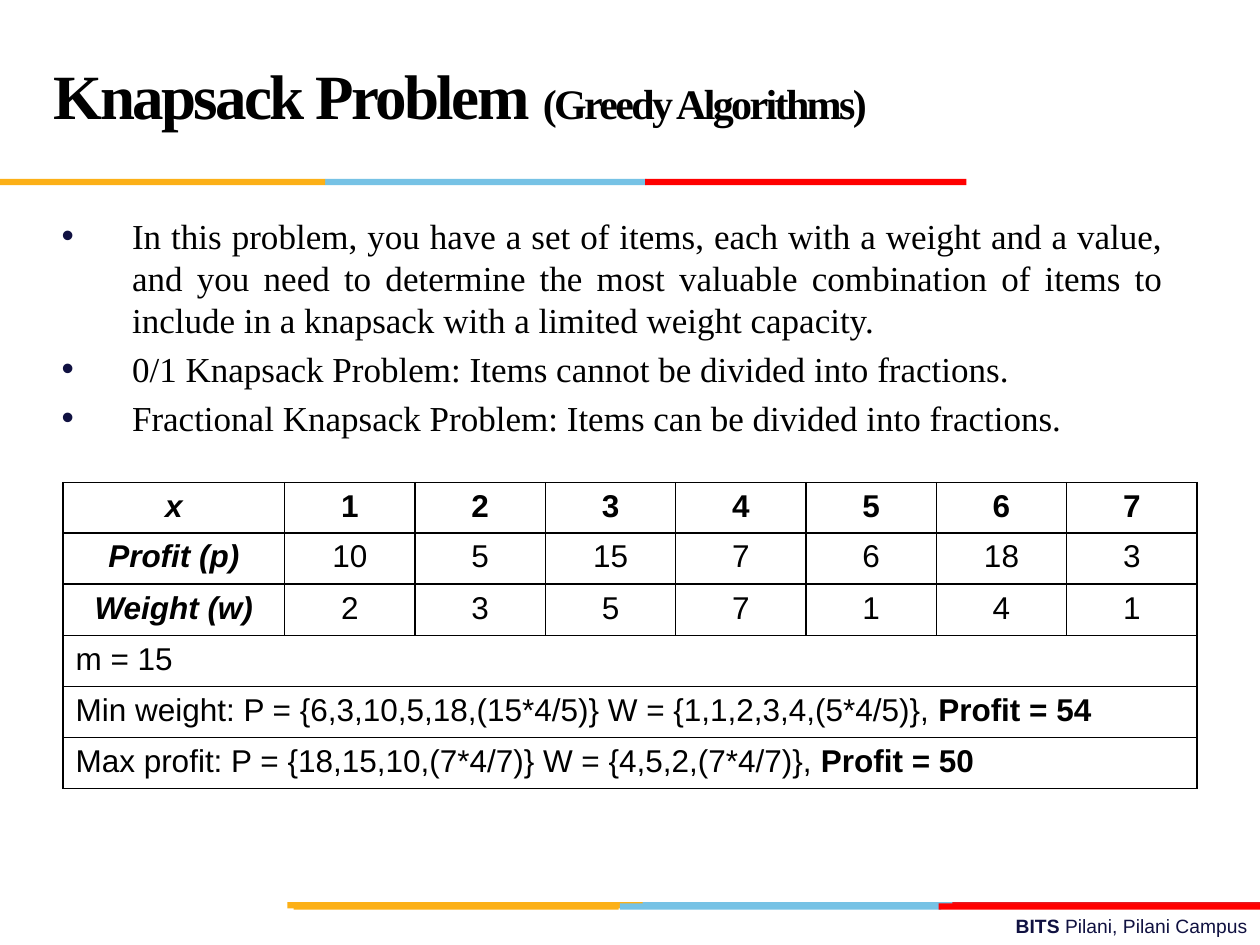
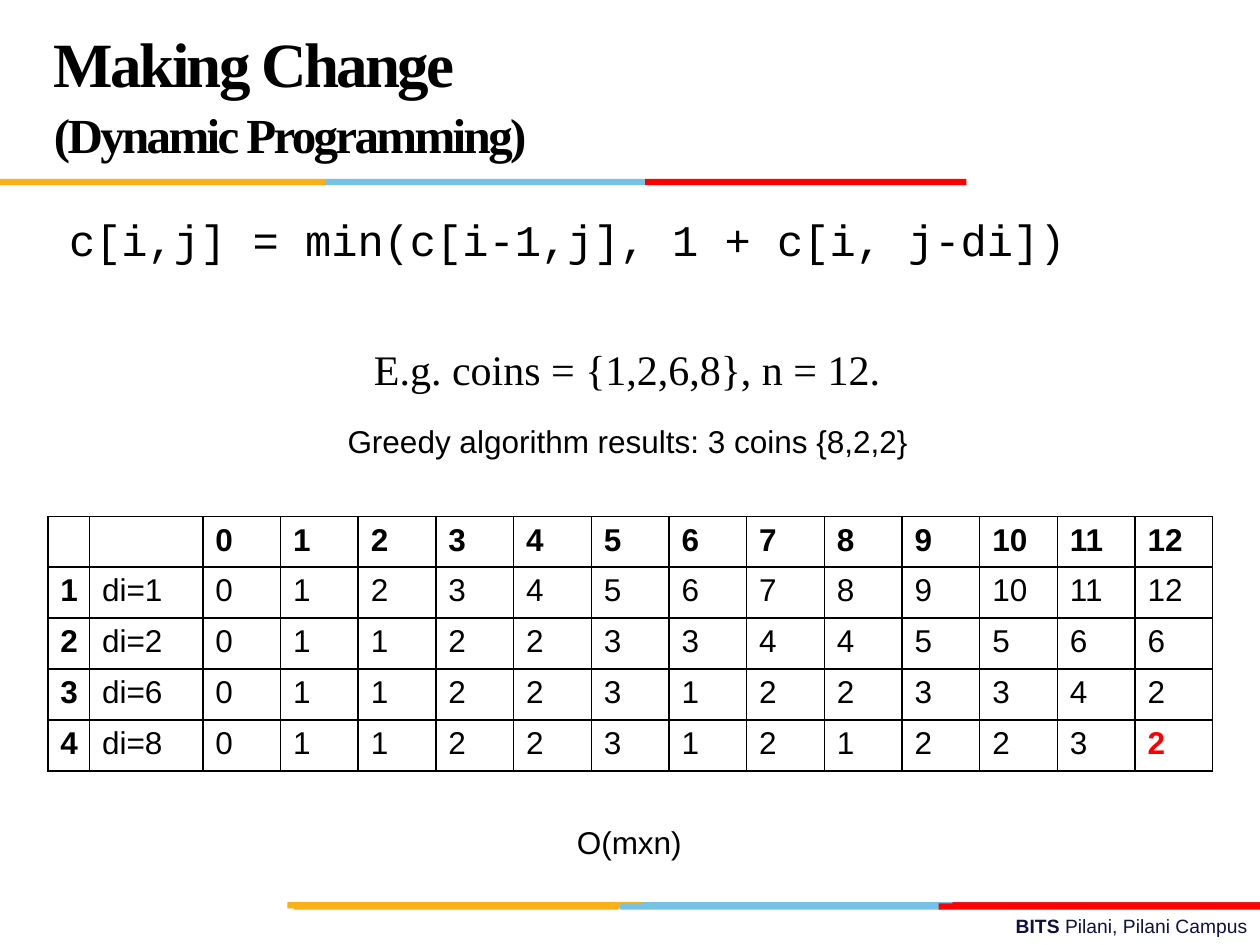
"""Build two algorithm slides: the knapsack problem and making change."""
from dataclasses import dataclass, replace
from typing import NamedTuple

from lxml import etree
from pptx import Presentation
from pptx import util as u
from pptx.dml.color import RGBColor
from pptx.enum import shapes, text
from pptx.oxml import ns

BLACK = RGBColor(0x00, 0x00, 0x00)
NAVY = RGBColor(0x10, 0x11, 0x41)
ORANGE = RGBColor(0xFC, 0xB0, 0x17)
SKY = RGBColor(0x76, 0xC2, 0xE5)
CRIMSON = RGBColor(0xE3, 0x1C, 0x24)
RED = RGBColor(0xFF, 0x00, 0x00)

SERIF, SANS, MONO = "Times New Roman", "Arial", "Courier New"
WIDTH, HEIGHT = u.Inches(10), u.Inches(7.5)
COLS, ROWS = 100, 75
BAND_ROWS = 0.5
LEFT, CENTER, RIGHT = text.PP_ALIGN.LEFT, text.PP_ALIGN.CENTER, text.PP_ALIGN.RIGHT


class Box(NamedTuple):
    """A place on the slide grid."""
    col: float
    row: float
    cols: float
    rows: float


class Band(NamedTuple):
    """A coloured strip starting at a grid column."""
    col: float
    row: float
    cols: float
    color: RGBColor


@dataclass(frozen=True)
class Style:
    """The look of a run of text."""
    size: float = 18
    font: str = SANS
    color: RGBColor = BLACK
    bold: bool = False
    italic: bool = False
    spacing: int = 0


class Run(NamedTuple):
    """Words with one style."""
    words: str
    style: Style


class Table(NamedTuple):
    """Cell runs with the sizes of a table."""
    box: Box
    first_cols: list[float]
    first_row: float
    cells: list[list[list[Run]]]
    centered_rows: int


BANDS = [
    Band(50.6, 71.6, 25.5, SKY), Band(75.6, 71.6, 24.4, CRIMSON), Band(22.8, 71.6, 28.2, ORANGE),
    Band(49.2, 71.7, 25.5, SKY), Band(23.3, 71.7, 25.8, ORANGE), Band(74.5, 71.7, 25.5, RED),
    Band(25.8, 14.2, 25.5, SKY), Band(0, 14.2, 25.8, ORANGE), Band(51.2, 14.2, 25.5, RED),
]
PLAIN = Style()
BOLD = Style(bold=True)
LABEL = Style(bold=True, italic=True)
TITLE = Style(36, SERIF, bold=True, spacing=-150)
FOOTER = Style(11, color=NAVY)


def x(cols: float) -> int:
    """Turn grid columns into a length."""
    return round(WIDTH * cols / COLS)


def y(rows: float) -> int:
    """Turn grid rows into a length."""
    return round(HEIGHT * rows / ROWS)


def place(box: Box) -> tuple[int, int, int, int]:
    """Give left, top, width and height of a box."""
    return x(box.col), y(box.row), x(box.cols), y(box.rows)


def write(p, runs: list[Run], align=LEFT) -> None:
    """Fill a paragraph with styled runs."""
    p.alignment = align
    for words, style in runs:
        r = p.add_run()
        r.text = words
        r.font.size, r.font.name = u.Pt(style.size), style.font
        r.font.bold, r.font.italic = style.bold, style.italic
        r.font.color.rgb = style.color
        if style.spacing:
            r._r.get_or_add_rPr().set("spc", str(style.spacing))


def add_text(s, box: Box, paragraphs: list[list[Run]], align=LEFT, wrap: bool = True):
    """Add a text box and return its text frame."""
    tf = s.shapes.add_textbox(*place(box)).text_frame
    tf.word_wrap = wrap
    if not wrap:
        tf.auto_size = text.MSO_AUTO_SIZE.SHAPE_TO_FIT_TEXT
    for i, runs in enumerate(paragraphs):
        write(tf.paragraphs[0] if i == 0 else tf.add_paragraph(), runs, align)
    return tf


def add_line(s, box: Box, words: str, style: Style = PLAIN) -> None:
    """Add one unwrapped line of text."""
    add_text(s, box, [[Run(words, style)]], wrap=False)


def add_bullets(s, box: Box, items: list[str], style: Style) -> None:
    """Add a justified bulleted list."""
    tf = add_text(s, box, [[Run(item, style)] for item in items], text.PP_ALIGN.JUSTIFY)
    for i, p in enumerate(tf.paragraphs):
        p.line_spacing = u.Pt(24)
        if i:
            p.space_before = u.Pt(4)
        pPr = p._p.get_or_add_pPr()
        pPr.set("marL", str(x(6.2)))
        pPr.set("indent", str(x(-5.6)))
        color = etree.SubElement(pPr, ns.qn("a:buClr"))
        etree.SubElement(color, ns.qn("a:srgbClr"), val=str(NAVY))
        etree.SubElement(pPr, ns.qn("a:buFont"), typeface=SANS)
        etree.SubElement(pPr, ns.qn("a:buChar"), char="•")


def add_borders(cell) -> None:
    """Draw a thin black line on each side of a cell."""
    tcPr = cell._tc.get_or_add_tcPr()
    for side in "LRTB":
        line = etree.SubElement(tcPr, ns.qn(f"a:ln{side}"), w=str(int(u.Pt(1))))
        fill = etree.SubElement(line, ns.qn("a:solidFill"))
        etree.SubElement(fill, ns.qn("a:srgbClr"), val=str(BLACK))


def add_table(s, t: Table) -> None:
    """Add a bordered table; rows with a single cell span its width."""
    n_rows, n_cols = len(t.cells), len(t.cells[0])
    tbl = s.shapes.add_table(n_rows, n_cols, *place(t.box)).table
    tbl.first_row = tbl.horz_banding = False
    rest = (t.box.cols - sum(t.first_cols)) / (n_cols - len(t.first_cols))
    for i, column in enumerate(tbl.columns):
        column.width = x(t.first_cols[i] if i < len(t.first_cols) else rest)
    for i, row in enumerate(tbl.rows):
        row.height = y((t.box.rows - t.first_row) / (n_rows - 1) if i else t.first_row)
    for cell in tbl.iter_cells():
        add_borders(cell)
        cell.fill.background()
    for i, row in enumerate(t.cells):
        if len(row) == 1:
            tbl.cell(i, 0).merge(tbl.cell(i, n_cols - 1))
        for j, runs in enumerate(row):
            align = CENTER if i < t.centered_rows else LEFT
            write(tbl.cell(i, j).text_frame.paragraphs[0], runs, align)


def add_slide(prs, title: list[list[Run]]):
    """Add a slide with bands, footer and title."""
    s = prs.slides.add_slide(prs.slide_layouts[6])
    add_text(s, Box(35.8, 72.1, 64.2, 2.9),
             [[Run("BITS ", replace(FOOTER, bold=True)), Run("Pilani, Pilani Campus", FOOTER)]], RIGHT)
    for band in BANDS:
        strip = s.shapes.add_shape(shapes.MSO_SHAPE.RECTANGLE,
                                   *place(Box(band.col, band.row, band.cols, BAND_ROWS)))
        strip.shadow.inherit = False
        strip.fill.solid()
        strip.fill.fore_color.rgb = band.color
        strip.line.fill.background()
    tf = add_text(s, Box(3.3, 1.7, 69.2, 12.5), title)
    tf.vertical_anchor = text.MSO_ANCHOR.MIDDLE
    for p in tf.paragraphs:
        p.line_spacing = u.Pt(36)
    return s


def styled(values: str, style: Style) -> list[list[Run]]:
    """Turn spaced values into table cells."""
    return [[Run(value, style)] for value in values.split()]


def add_knapsack(prs) -> None:
    """Build the knapsack slide."""
    s = add_slide(prs, [[Run("Knapsack Problem ", TITLE),
                         Run("(Greedy Algorithms)", replace(TITLE, size=24))]])
    add_bullets(s, Box(3.3, 16.5, 90, 49.5), [
        "In this problem, you have a set of items, each with a weight and a value, and you need to "
        "determine the most valuable combination of items to include in a knapsack with a limited "
        "weight capacity.",
        "0/1 Knapsack Problem: Items cannot be divided into fractions.",
        "Fractional Knapsack Problem: Items can be divided into fractions.",
    ], Style(20, SERIF))
    cells = [
        [[Run("x", LABEL)], *styled("1 2 3 4 5 6 7", BOLD)],
        [[Run("Profit (p)", LABEL)], *styled("10 5 15 7 6 18 3", PLAIN)],
        [[Run("Weight (w)", LABEL)], *styled("2 3 5 7 1 4 1", PLAIN)],
        [[Run("m = 15", PLAIN)]],
        [[Run("Min weight: P = {6,3,10,5,18,(15*4/5)} W = {1,1,2,3,4,(5*4/5)}, ", PLAIN),
          Run("Profit = 54", BOLD)]],
        [[Run("Max profit: P = {18,15,10,(7*4/7)} W = {4,5,2,(7*4/7)}, ", PLAIN),
          Run("Profit = 50", BOLD)]],
    ]
    add_table(s, Table(Box(5, 38.3, 90, 24.1), [17.6], 3.8, cells, 3))


def add_change(prs) -> None:
    """Build the making change slide."""
    s = add_slide(prs, [[Run("Making Change", TITLE)],
                        [Run("(Dynamic Programming)", replace(TITLE, size=28))]])
    add_line(s, Box(4.5, 16.4, 82, 5.2), "c[i,j] = min(c[i-1,j], 1 + c[i, j-di])", Style(25, MONO))
    coins = {
        1: "0 1 2 3 4 5 6 7 8 9 10 11 12",
        2: "0 1 1 2 2 3 3 4 4 5 5 6 6",
        6: "0 1 1 2 2 3 1 2 2 3 3 4 2",
        8: "0 1 1 2 2 3 1 2 1 2 2 3 2",
    }
    cells = [[[], [], *styled(coins[1], BOLD)]]
    for i, (coin, counts) in enumerate(coins.items(), 1):
        cells.append([[Run(str(i), BOLD)], [Run(f"di={coin}", PLAIN)], *styled(counts, PLAIN)])
    cells[-1][-1] = [Run("2", replace(BOLD, color=RED))]
    add_table(s, Table(Box(3.8, 41, 92.5, 20.2), [3.3, 9], 4, cells, 0))
    add_line(s, Box(28.7, 26.8, 42.6, 5), "E.g. coins = {1,2,6,8}, n = 12.", Style(24, SERIF))
    add_line(s, Box(26.6, 33, 46.9, 4), "Greedy algorithm results: 3 coins {8,2,2}")
    add_line(s, Box(44.8, 64.8, 10.4, 4), "O(mxn)")


def main() -> None:
    """Build and save the presentation."""
    prs = Presentation()
    prs.slide_width, prs.slide_height = WIDTH, HEIGHT
    add_knapsack(prs)
    add_change(prs)
    prs.save("out.pptx")


if __name__ == "__main__":
    main()
